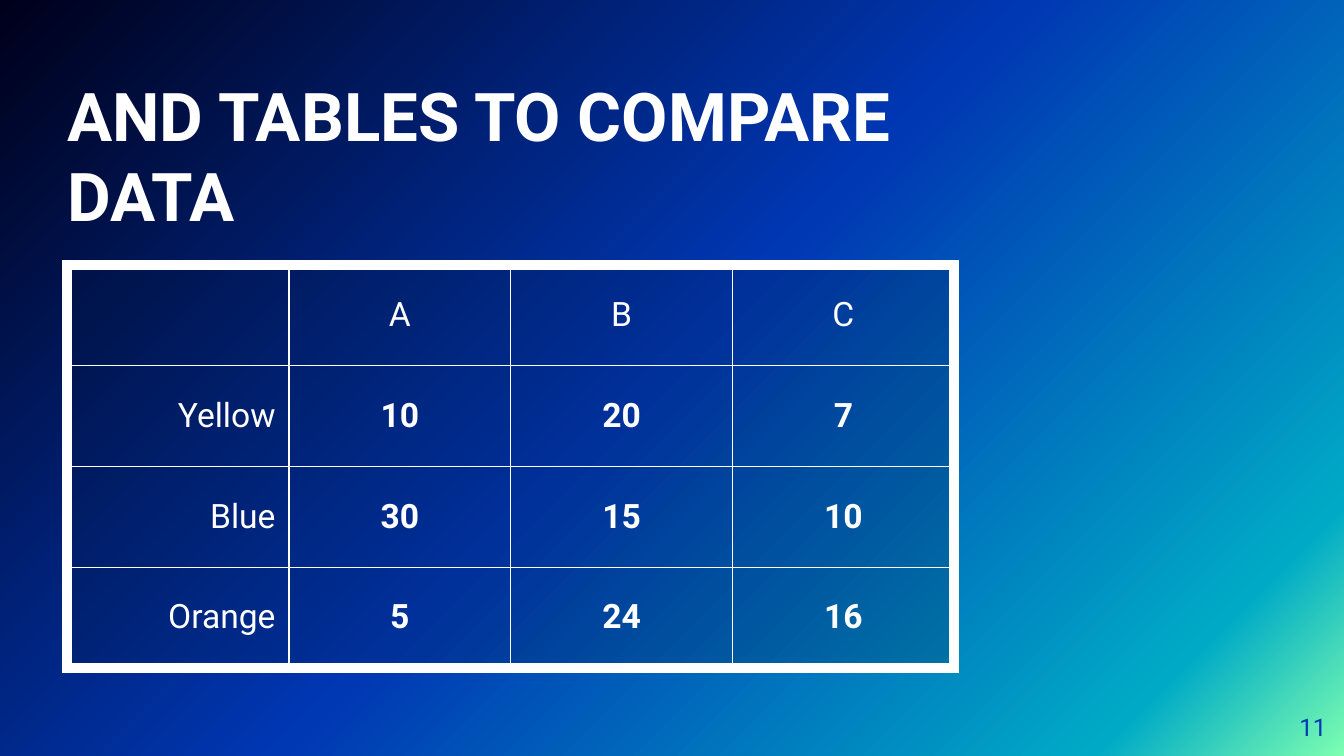
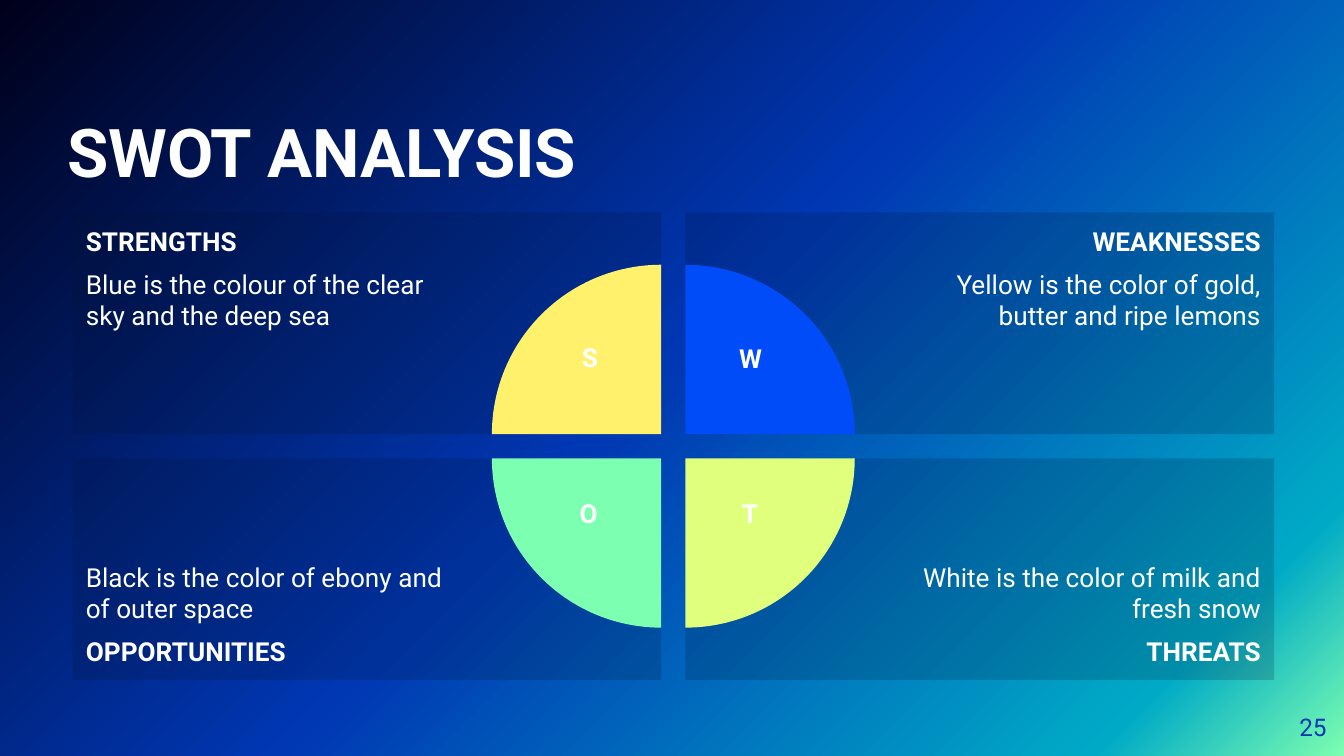
from lxml.etree import SubElement
from pptx import Presentation
from pptx.dml.color import RGBColor as RGB
from pptx.enum.shapes import MSO_SHAPE as SHAPE
from pptx.enum.text import MSO_ANCHOR as ANCHOR, PP_ALIGN as ALIGN
from pptx.oxml.ns import qn
from pptx.util import Inches, Pt

COLORS = {"white": "FFFFFF", "navy": "001230", "blue": "0037B3", "night": "00001A",
          "teal": "00AAC6", "mint": "7DFFB1", "yellow": "FFF16B", "azure": "004CF8",
          "lime": "E0FF7D"}
GRADIENT = [(0, "mint"), (12, "teal"), (51, "blue"), (100, "night")]
FONTS = {
    "title": {"size": Pt(36), "bold": True},
    "number": {"size": Pt(13), "bold": False},
    "cell": {"size": Pt(18), "bold": False},
    "value": {"size": Pt(18), "bold": True},
    "heading": {"size": Pt(14), "bold": True},
    "body": {"size": Pt(14), "bold": False},
}
PANEL_ALPHA = 19
THIN, THICK = 0.75, 6

TABLE = [["", "A", "B", "C"],
         ["Yellow", "10", "20", "7"],
         ["Blue", "30", "15", "10"],
         ["Orange", "5", "24", "16"]]
COL_W, ROW_H = 1.65, 0.75

PANEL_X, PANEL_Y, PANEL_W, PANEL_H = 0.54, 1.58, 4.38, 1.65
GAP, RADIUS = 0.18, 1.26
SWOT = [
    (0, 0, [("STRENGTHS", "heading"),
            ("Blue is the colour of the clear sky and the deep sea", "body")]),
    (1, 0, [("WEAKNESSES", "heading"),
            ("Yellow is the color of gold, butter and ripe lemons", "body")]),
    (0, 1, [("Black is the color of ebony and of outer space", "body"),
            ("OPPORTUNITIES", "heading")]),
    (1, 1, [("White is the color of milk and fresh snow", "body"),
            ("THREATS", "heading")]),
]
QUARTERS = [(0, 0, "yellow"), (1, 0, "azure"), (1, 1, "lime"), (0, 1, "mint")]
LETTERS = [("S", 4.24, 2.49, 0.3), ("W", 5.3, 2.5, 0.57),
           ("O", 4.2, 3.65, 0.36), ("T", 5.42, 3.65, 0.32)]


def rgb(name):
    """Return the named colour."""
    return RGB.from_string(COLORS[name])


def add_slide(prs):
    """Add a blank slide with the shared gradient background."""
    s = prs.slides.add_slide(prs.slide_layouts[6])
    fill = s.background.fill
    fill.gradient()
    fill.gradient_angle = 135
    stops = next(s.element.iter(qn("a:gsLst")))
    for stop in list(stops):
        stops.remove(stop)
    for pos, name in GRADIENT:
        stop = SubElement(stops, qn("a:gs"), pos=str(pos * 1000))
        SubElement(stop, qn("a:srgbClr"), val=COLORS[name])
    return s


def write(p, text, style, align=ALIGN.LEFT, color="white"):
    """Write one styled run into a paragraph."""
    p.alignment = align
    r = p.add_run()
    r.text = text
    for key, value in {"name": "Roboto", **FONTS[style]}.items():
        setattr(r.font, key, value)
    r.font.color.rgb = rgb(color)


def set_frame(tf, anchor, insets):
    """Set wrapping, anchor and insets (left, top, right, bottom)."""
    tf.word_wrap = True
    tf.vertical_anchor = anchor
    for side, inset in zip(("left", "top", "right", "bottom"), insets):
        setattr(tf, f"margin_{side}", Inches(inset))


def add_text(s, box, text, style, align=ALIGN.LEFT, anchor=ANCHOR.TOP,
             insets=(0, 0, 0, 0), color="white"):
    """Add a text box holding one paragraph."""
    tf = s.shapes.add_textbox(*map(Inches, box)).text_frame
    set_frame(tf, anchor, insets)
    write(tf.paragraphs[0], text, style, align, color)


def add_title(s, text, top):
    """Add the slide title."""
    add_text(s, (0.5, top, 6.59, 0.94), text, "title", anchor=ANCHOR.BOTTOM)


def add_number(s, number):
    """Add the slide number in the lower right corner."""
    add_text(s, (9.27, 5.19, 0.6, 0.43), number, "number", ALIGN.RIGHT,
             ANCHOR.MIDDLE, color="blue")


def fill_panel(fill):
    """Apply the solid navy fill."""
    fill.solid()
    fill.fore_color.rgb = rgb("navy")


def set_alpha(element):
    """Make the solid fill inside a properties element translucent."""
    clr = element.find(qn("a:solidFill")).find(qn("a:srgbClr"))
    SubElement(clr, qn("a:alpha"), val=str(PANEL_ALPHA * 1000))


def set_borders(tc_pr, widths):
    """Draw cell borders, given widths by side, ahead of the cell fill."""
    for i, (side, width) in enumerate(widths.items()):
        ln = SubElement(tc_pr, qn(f"a:ln{side}"), w=str(Pt(width)))
        SubElement(SubElement(ln, qn("a:solidFill")), qn("a:srgbClr"), val=COLORS["white"])
        tc_pr.insert(i, ln)


def add_data_table(s, rows):
    """Add the table with a thick outer frame and thin inner lines."""
    n_rows, n_cols = len(rows), len(rows[0])
    box = (0.5, 1.97, n_cols * COL_W, n_rows * ROW_H)
    table = s.shapes.add_table(n_rows, n_cols, *map(Inches, box)).table
    table.first_row = table.horz_banding = False
    for i, row in enumerate(rows):
        for j, text in enumerate(row):
            cell = table.cell(i, j)
            cell.vertical_anchor = ANCHOR.MIDDLE
            cell.margin_top = cell.margin_bottom = Inches(0.07)
            fill_panel(cell.fill)
            tc_pr = cell._tc.tcPr
            set_alpha(tc_pr)
            edges = {"L": j == 0, "R": j == n_cols - 1, "T": i == 0, "B": i == n_rows - 1}
            set_borders(tc_pr, {k: THICK if outer else THIN for k, outer in edges.items()})
            if text:
                write(cell.text_frame.paragraphs[0], text, "value" if i and j else "cell",
                      ALIGN.CENTER if j else ALIGN.RIGHT)


def add_plain_shape(s, kind, box):
    """Add a preset shape with neither shadow nor outline."""
    sp = s.shapes.add_shape(kind, *map(Inches, box))
    sp.shadow.inherit = False
    sp.line.fill.background()
    return sp


def add_panel(s, col, row, lines):
    """Add one SWOT panel, its text kept clear of the centre."""
    box = (PANEL_X + col * (PANEL_W + GAP), PANEL_Y + row * (PANEL_H + GAP), PANEL_W, PANEL_H)
    sp = add_plain_shape(s, SHAPE.RECTANGLE, box)
    fill_panel(sp.fill)
    set_alpha(sp.element.spPr)
    tf = sp.text_frame
    set_frame(tf, ANCHOR.BOTTOM if row else ANCHOR.TOP,
              (1.5, 0.1, 0.1, 0.1) if col else (0.1, 0.1, 1.5, 0.1))
    for i, (text, style) in enumerate(lines):
        p = tf.add_paragraph() if i else tf.paragraphs[0]
        if i:
            p.space_before = p.space_after = Pt(6)
        write(p, text, style, ALIGN.RIGHT if col else ALIGN.LEFT)


def add_quarter(s, col, row, color, rotation):
    """Add a quarter disc centred on the inner corner of its panel."""
    box = (PANEL_X + PANEL_W - RADIUS + col * GAP,
           PANEL_Y + PANEL_H - RADIUS + row * GAP, 2 * RADIUS, 2 * RADIUS)
    sp = add_plain_shape(s, SHAPE.PIE, box)
    sp.adjustments[0], sp.adjustments[1] = 108, 162
    sp.rotation = rotation
    sp.fill.solid()
    sp.fill.fore_color.rgb = rgb(color)


def build_table_slide(prs):
    """Build the data table slide."""
    s = add_slide(prs)
    add_title(s, "AND TABLES TO COMPARE DATA", 0.81)
    add_data_table(s, TABLE)
    add_number(s, "11")


def build_swot_slide(prs):
    """Build the SWOT analysis slide."""
    s = add_slide(prs)
    add_title(s, "SWOT ANALYSIS", 0.48)
    add_number(s, "25")
    for col, row, lines in SWOT:
        add_panel(s, col, row, lines)
    for i, (col, row, color) in enumerate(QUARTERS):
        add_quarter(s, col, row, color, 90 * i)
    for letter, left, top, width in LETTERS:
        add_text(s, (left, top, width, 0.45), letter, "heading", ALIGN.CENTER,
                 insets=(0.05, 0.05, 0.05, 0.05))


def main():
    """Build and save the 16:9 presentation."""
    prs = Presentation()
    prs.slide_width = Inches(10)
    prs.slide_height = prs.slide_width * 9 // 16
    build_table_slide(prs)
    build_swot_slide(prs)
    prs.save("out.pptx")


if __name__ == "__main__":
    main()
